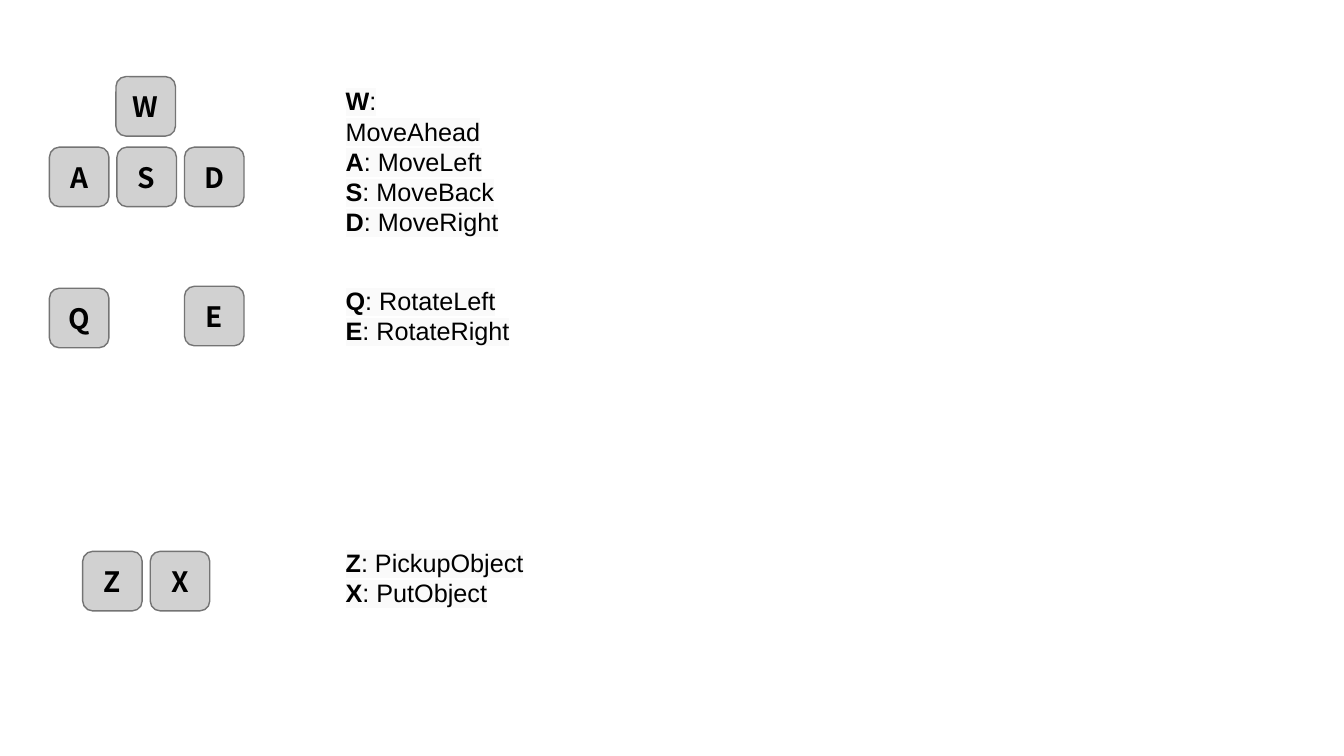
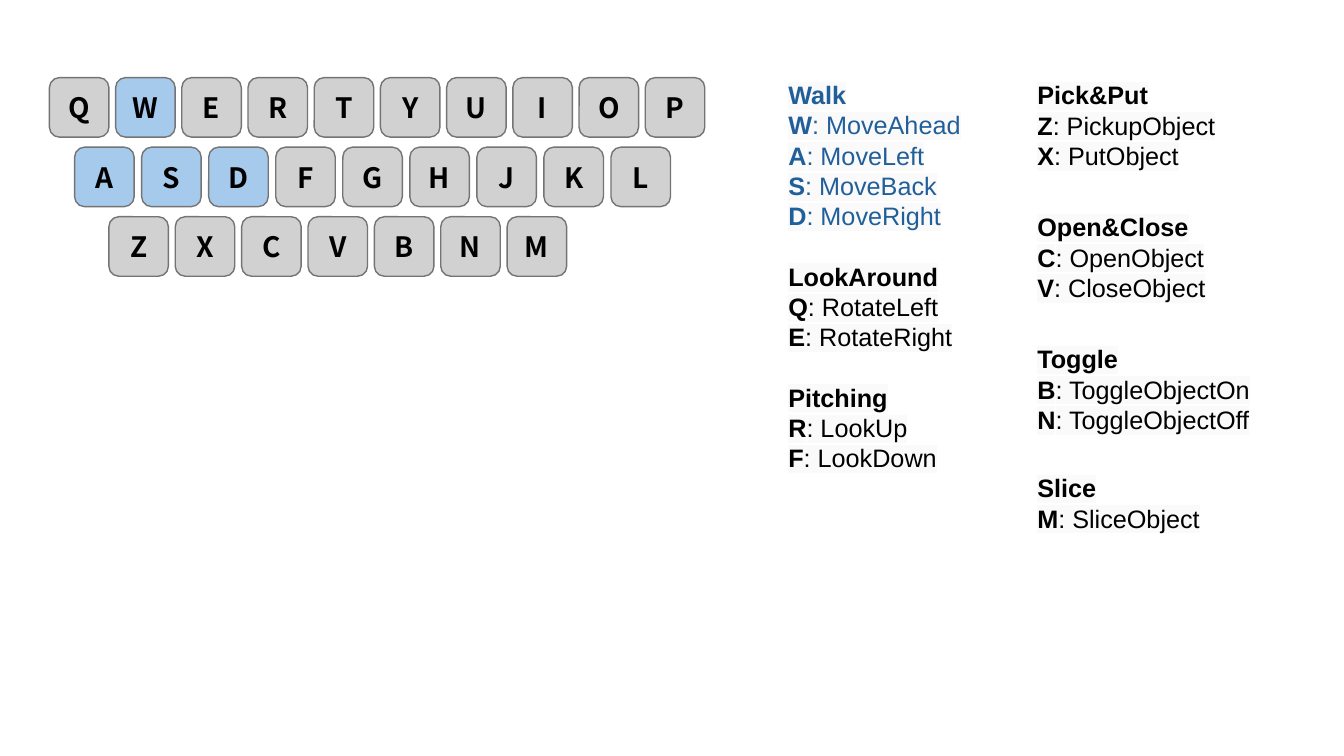
from dataclasses import dataclass

from lxml import etree
from pptx import Presentation
from pptx import util as u
from pptx.dml import color
from pptx.enum import shapes, text
from pptx.oxml import ns


@dataclass(frozen=True)
class Theme:
    key: str = "D1D1D1"
    active_key: str = "A6CAEC"
    border: str = "747474"
    ink: str = "000000"
    active_ink: str = "215F9A"
    marker: str = "FAFAFA"
    key_font: str = "Noto Sans CJK SC"
    text_font: str = "Arial"
    key_size: float = 20
    text_size: float = 18
    line_pitch: float = 21.6


theme = Theme()
presentation = Presentation()
presentation.slide_width = u.Inches(13.33)
presentation.slide_height = u.Inches(7.5)
cell = presentation.slide_height / 75
key_side = 5.9

actions = {
    "W": "MoveAhead", "A": "MoveLeft", "S": "MoveBack", "D": "MoveRight",
    "Q": "RotateLeft", "E": "RotateRight", "R": "LookUp", "F": "LookDown",
    "Z": "PickupObject", "X": "PutObject", "C": "OpenObject", "V": "CloseObject",
    "B": "ToggleObjectOn", "N": "ToggleObjectOff", "M": "SliceObject",
}
walk_keys = "WASD"

boards = [
    {
        "active": "",
        "key_rows": [
            ("W", 11.5, 11.5, 7.6), ("ASD", 4.9, 18.3, 14.6),
            ("Q", 4.9, 4.9, 28.6), ("E", 18.3, 18.3, 28.4),
            ("ZX", 8.2, 14.9, 54.7),
        ],
        "legends": [
            (33.3, 8, 17.9, 13.1, [("", "WASD")]),
            (33.3, 27.8, 66.7, 7.1, [("", "QE")]),
            (33.3, 53.8, 66.7, 7.1, [("", "ZX")]),
        ],
    },
    {
        "active": walk_keys,
        "key_rows": [
            ("QWERTYUIOP", 4.9, 64, 7.7),
            ("ASDFGHJKL", 7.4, 60.6, 14.6),
            ("ZXCVBNM", 10.8, 50.3, 21.5),
        ],
        "legends": [
            (77.2, 7.4, 21.1, 40.4,
             [("Walk", "WASD"), ("LookAround", "QE"), ("Pitching", "RF")]),
            (101.9, 7.4, 21.1, 10.1, [("Pick&Put", "ZX")]),
            (101.9, 20.5, 21.1, 10.1, [("Open&Close", "CV")]),
            (101.9, 33.6, 23.4, 10.1, [("Toggle", "BN")]),
            (101.9, 46.4, 23.4, 7.1, [("Slice", "M")]),
        ],
    },
]


def grid(*lengths):
    return [u.Emu(round(length * cell)) for length in lengths]


def add_run(paragraph, words, ink, **format_values):
    run = paragraph.add_run()
    run.text = words
    for name, value in format_values.items():
        setattr(run.font, name, value)
    run.font.color.rgb = color.RGBColor.from_string(ink)
    return run


for board in boards:
    slide = presentation.slides.add_slide(presentation.slide_layouts[6])

    for letters, first, last, top in board["key_rows"]:
        step = (last - first) / max(len(letters) - 1, 1)
        for column, letter in enumerate(letters):
            shape = slide.shapes.add_shape(
                shapes.MSO_SHAPE.ROUNDED_RECTANGLE,
                *grid(first + column * step, top, key_side, key_side))
            fill = theme.active_key if letter in board["active"] else theme.key
            shape.shadow.inherit = False
            shape.fill.solid()
            shape.fill.fore_color.rgb = color.RGBColor.from_string(fill)
            shape.line.color.rgb = color.RGBColor.from_string(theme.border)
            shape.line.width = u.Pt(1)
            shape.text_frame.vertical_anchor = text.MSO_ANCHOR.MIDDLE
            paragraph = shape.text_frame.paragraphs[0]
            paragraph.alignment = text.PP_ALIGN.CENTER
            add_run(paragraph, letter, theme.ink, name=theme.key_font,
                    size=u.Pt(theme.key_size), bold=True)

    for left, top, width, height, groups in board["legends"]:
        shape = slide.shapes.add_textbox(*grid(left, top, width, height))
        frame = shape.text_frame
        frame.word_wrap = True
        frame.auto_size = text.MSO_AUTO_SIZE.SHAPE_TO_FIT_TEXT
        lines = []
        for number, (title, letters) in enumerate(groups):
            ink = theme.active_ink if letters == board["active"] else theme.ink
            entries = [(letter, f": {actions[letter]}") for letter in letters]
            if title:
                entries.insert(0, (title, ""))
            for row, entry in enumerate(entries):
                gap = theme.line_pitch if number and row == 0 else 0
                lines.append((*entry, ink, gap))

        for index, (strong, plain, ink, gap) in enumerate(lines):
            paragraph = frame.add_paragraph() if index else frame.paragraphs[0]
            paragraph.line_spacing = u.Pt(theme.line_pitch)
            paragraph.space_before = u.Pt(gap)
            for words, bold in ((strong, True), (plain, False)):
                if words:
                    run = add_run(paragraph, words, ink, size=u.Pt(theme.text_size),
                                  bold=bold)
                    highlight = etree.SubElement(
                        run.font._element, ns.qn("a:highlight"))
                    etree.SubElement(highlight, ns.qn("a:srgbClr"), val=theme.marker)
                    run.font.name = theme.text_font

presentation.save("out.pptx")
